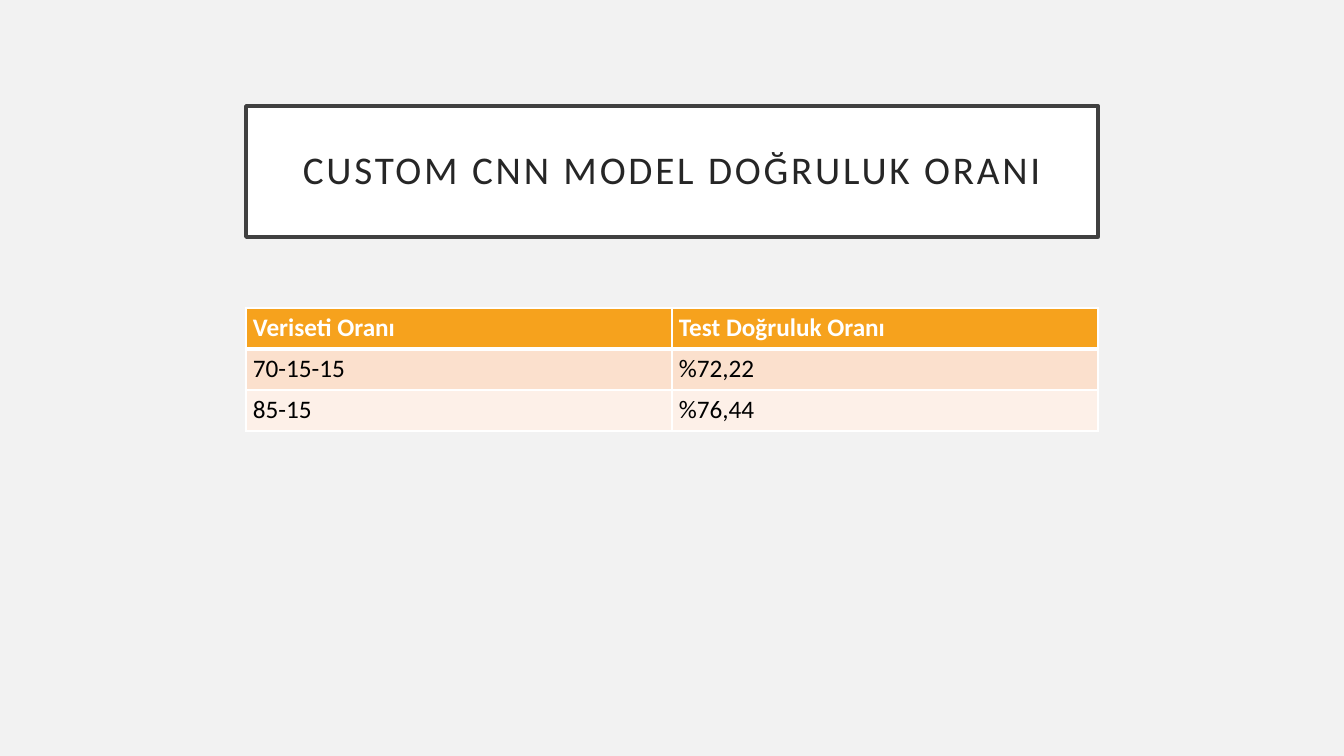
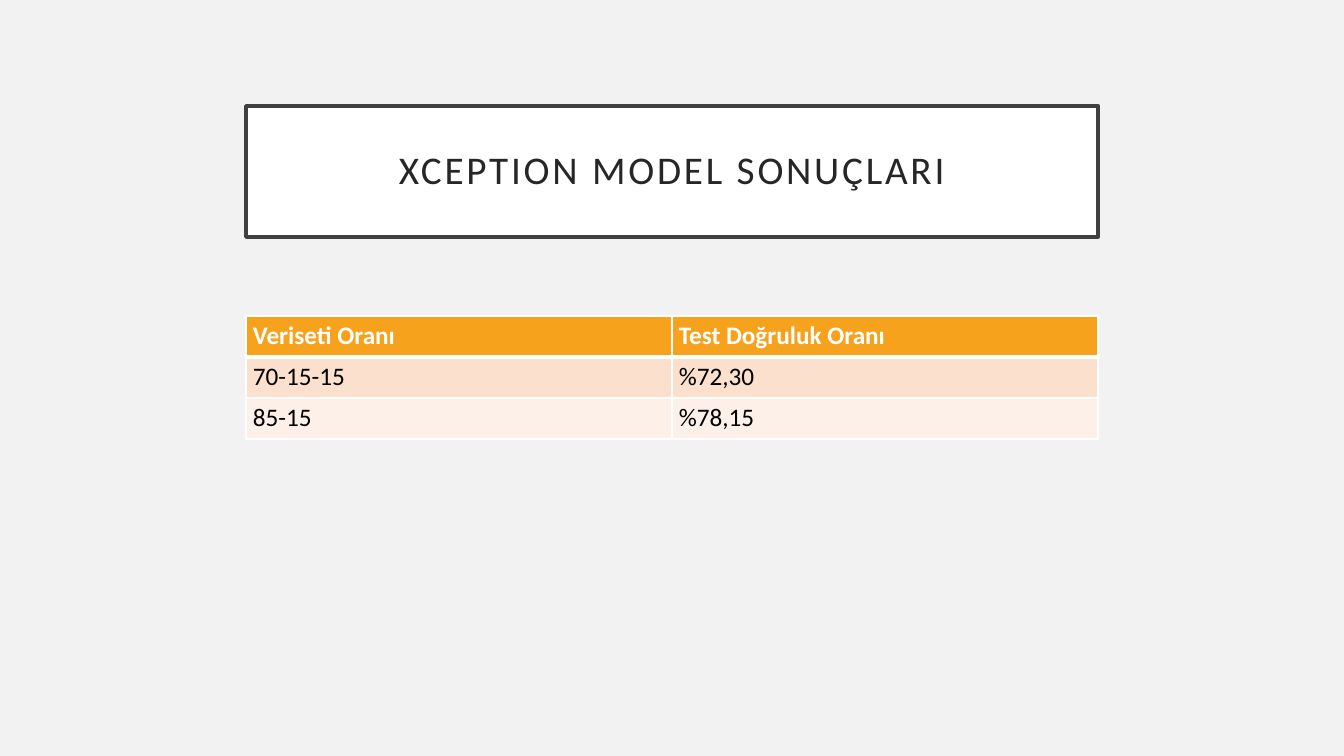
from dataclasses import dataclass

from lxml import etree
from pptx import Presentation
from pptx import util as u
from pptx.dml.color import RGBColor
from pptx.enum import shapes, text
from pptx.oxml import ns


@dataclass(frozen=True)
class Theme:
    font: str = "Calibri"
    back: str = "F2F2F2"
    white: str = "FFFFFF"
    frame: str = "404040"
    ink: str = "262626"
    body: str = "000000"
    head: str = "F6A21D"
    bands: tuple = ("FBE0CD", "FDF0E8")
    title_pt: int = 28
    table_pt: int = 18
    frame_pt: float = 2.5
    track: int = 200  # letter spacing, hundredths of a point
    rule_pt: int = 1
    thick_pt: int = 3


T = Theme()
WIDE, HIGH = 1344, 756
LEFT, SPAN = 246, 852
ROW = 41
HEADS = ("Veriseti Oranı", "Test Doğruluk Oranı")


def px(n):
    return u.Emu(round(n * 914400 / 100.8))


def paint(fill, color):
    fill.solid()
    fill.fore_color.rgb = RGBColor.from_string(color)


def style(par, size, color, bold=False):
    for run in par.runs:
        font = run.font
        font.name, font.size, font.bold = T.font, u.Pt(size), bold
        font.color.rgb = RGBColor.from_string(color)


def edge(cell, side, width):
    line = etree.SubElement(cell._tc.get_or_add_tcPr(), ns.qn(f"a:ln{side}"),
                            w=str(u.Pt(width)))
    solid = etree.SubElement(line, ns.qn("a:solidFill"))
    etree.SubElement(solid, ns.qn("a:srgbClr"), val=T.white)


# Framed title
def add_title(slide, box, words):
    shape = slide.shapes.add_shape(shapes.MSO_SHAPE.RECTANGLE, *map(px, box))
    shape.shadow.inherit = False
    paint(shape.fill, T.white)
    paint(shape.line.fill, T.frame)
    shape.line.width = u.Pt(T.frame_pt)
    frame = shape.text_frame
    frame.word_wrap = True
    frame.vertical_anchor = text.MSO_ANCHOR.MIDDLE
    frame.margin_left = frame.margin_right = px(20)
    frame.margin_top = frame.margin_bottom = px(20)
    frame.text = words
    par = frame.paragraphs[0]
    par.alignment = text.PP_ALIGN.CENTER
    par.line_spacing = 0.9
    style(par, T.title_pt, T.ink)
    par.runs[0].font._element.set("spc", str(T.track))


# One table cell; the rule under the header row is thick
def fill_cell(cell, row, words):
    is_head = row == 0
    cell.margin_left = cell.margin_right = px(7)
    cell.margin_top = cell.margin_bottom = px(5)
    cell.text = words
    style(cell.text_frame.paragraphs[0], T.table_pt,
          T.white if is_head else T.body, is_head)
    for side in "LRTB":
        thick = (row, side) in ((0, "B"), (1, "T"))
        edge(cell, side, T.thick_pt if thick else T.rule_pt)
    paint(cell.fill, T.head if is_head else T.bands[(row - 1) % 2])


# Table of results
def add_grid(slide, box, rows):
    left, top, wide, high = box
    count = len(rows[0])
    table = slide.shapes.add_table(len(rows), count, *map(px, box)).table
    for col in table.columns:
        col.width = px(wide / count)
    for r, row in enumerate(rows):
        table.rows[r].height = px(high / len(rows))
        for c, words in enumerate(row):
            fill_cell(table.cell(r, c), r, words)


# Slide type: title above a table
def add_slide(prs, title, top, rows):
    slide = prs.slides.add_slide(prs.slide_layouts[6])
    add_title(slide, (LEFT, 106, SPAN, 131), title)
    rows = (HEADS, *rows)
    add_grid(slide, (LEFT, top, SPAN, ROW * len(rows)), rows)


def main():
    prs = Presentation()
    prs.slide_width, prs.slide_height = px(WIDE), px(HIGH)
    paint(prs.slide_master.background.fill, T.back)
    add_slide(prs, "CUSTOM CNN MODEL DOĞRULUK ORANI", 308,
              (("70-15-15", "%72,22"), ("85-15", "%76,44")))
    add_slide(prs, "XCEPTION MODEL SONUÇLARI", 316,
              (("70-15-15", "%72,30"), ("85-15", "%78,15")))
    prs.save("out.pptx")


if __name__ == "__main__":
    main()
